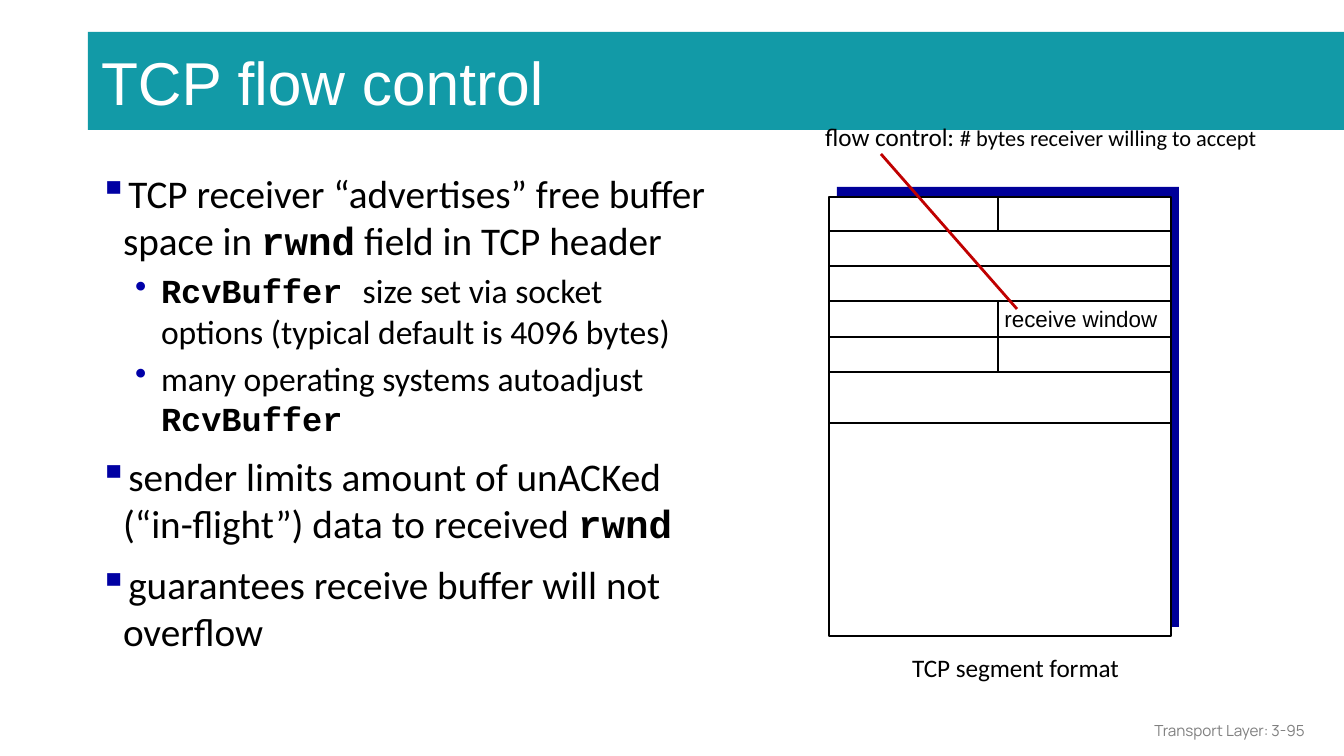
from pptx import Presentation
from pptx.dml.color import RGBColor
from pptx.enum.shapes import MSO_CONNECTOR, MSO_SHAPE
from pptx.enum.text import MSO_ANCHOR, MSO_AUTO_SIZE, PP_ALIGN
from pptx.oxml.ns import qn
from pptx.util import Emu, Pt
from lxml.etree import SubElement

EMU_PER_PX = 914400 / 134.4
COLORS = {
    "banner": "129AA7", "white": "FFFFFF", "black": "000000", "shadow": "000099",
    "square": "0000A3", "dot": "0000A8", "pointer": "C00000", "footer": "808080",
}
SANS, MONO = "Calibri", "Courier New"
LEVELS = [
    {"size": 21, "indent": 39, "hang": 24, "before": 7.5, "mark": "▪", "color": "square"},
    {"size": 18, "indent": 77, "hang": 26, "before": 3.8, "mark": "•", "color": "dot"},
]
POINTS = [
    (0, [("TCP receiver “advertises” free buffer space in ", SANS), ("rwnd", MONO),
         (" field in TCP header", SANS)]),
    (1, [("RcvBuffer ", MONO),
         ("size set via socket options (typical default is 4096 bytes)", SANS)]),
    (1, [("many operating systems autoadjust ", SANS), ("RcvBuffer", MONO)]),
    (0, [("sender limits amount of unACKed (“in-flight”) data to received ", SANS),
         ("rwnd", MONO)]),
    (0, [("guarantees receive buffer will not overflow", SANS)]),
]
SEGMENT = (829, 197, 342, 439)
ROW_LINES = [231, 266, 301, 337, 372, 423]
MIDDLE = 998


def px(value):
    return Emu(round(value * EMU_PER_PX))


def rgb(name):
    return RGBColor.from_string(COLORS[name])


class SlideBuilder:
    """Holds the current slide and draws styled elements on it."""

    def __init__(self, page):
        self.page = page

    def rectangle(self, place, fill, outline=None):
        box = self.page.shapes.add_shape(MSO_SHAPE.RECTANGLE, *map(px, place))
        box.shadow.inherit = False
        box.fill.solid()
        box.fill.fore_color.rgb = rgb(fill)
        if outline:
            box.line.color.rgb = rgb(outline)
            box.line.width = Pt(1.5)
        else:
            box.line.fill.background()
        return box

    def line(self, start, end, color="black"):
        connector = self.page.shapes.add_connector(
            MSO_CONNECTOR.STRAIGHT, *map(px, start + end))
        connector.line.color.rgb = rgb(color)
        connector.line.width = Pt(1.5)
        SubElement(connector._element.spPr, qn("a:effectLst"))

    def span(self, para, text, font, size, color="black"):
        span = para.add_run()
        span.text = text
        span.font.name = font
        span.font.size = Pt(size)
        span.font.bold = font == MONO
        span.font.color.rgb = rgb(color)

    def label(self, place, spans, align=PP_ALIGN.LEFT, spacing=1.0, wrap=True,
              anchor=MSO_ANCHOR.TOP):
        frame = self.page.shapes.add_textbox(*map(px, place)).text_frame
        frame.word_wrap = wrap
        frame.auto_size = MSO_AUTO_SIZE.NONE
        frame.vertical_anchor = anchor
        para = frame.paragraphs[0]
        para.alignment = align
        para.line_spacing = spacing
        for span in spans:
            self.span(para, *span)

    def title(self, place, text):
        box = self.rectangle(place, "banner")
        frame = box.text_frame
        frame.margin_left = frame.margin_right = px(13)
        frame.margin_top = frame.margin_bottom = px(13)
        frame.vertical_anchor = MSO_ANCHOR.MIDDLE
        frame.paragraphs[0].alignment = PP_ALIGN.LEFT
        self.span(frame.paragraphs[0], text, "Arial", 32.4, "white")

    def bullets(self, place, points):
        frame = self.page.shapes.add_textbox(*map(px, place)).text_frame
        frame.word_wrap = True
        frame.margin_left = frame.margin_right = px(10)
        frame.margin_top = frame.margin_bottom = px(5)
        for index, (depth, spans) in enumerate(points):
            level = LEVELS[depth]
            para = frame.add_paragraph() if index else frame.paragraphs[0]
            para.level = depth
            properties = para._p.get_or_add_pPr()
            properties.set("marL", str(px(level["indent"])))
            properties.set("indent", str(-px(level["hang"])))
            tint = SubElement(properties, qn("a:buClr"))
            SubElement(tint, qn("a:srgbClr"), val=COLORS[level["color"]])
            SubElement(properties, qn("a:buChar"), char=level["mark"])
            para.space_before = Pt(level["before"] if index else 0)
            for text, font in spans:
                self.span(para, text, font, level["size"])


def main():
    deck = Presentation()
    deck.slide_width, deck.slide_height = px(1344), px(756)
    builder = SlideBuilder(deck.slides.add_slide(deck.slide_layouts[6]))

    builder.title((88, 32, 1256, 98), "TCP flow control")
    builder.bullets((74, 164, 642, 540), POINTS)
    builder.label((812, 118, 480, 42), [
        ("flow control: ", SANS, 13.5), ("# bytes receiver willing to accept", SANS, 12),
    ], spacing=0.9)

    builder.rectangle((837, 187, 342, 440), "shadow")
    builder.rectangle(SEGMENT, "white", "black")
    left, top, width, _ = SEGMENT
    for row in ROW_LINES:
        builder.line((left, row), (left + width, row))
    for start, end in [(top, ROW_LINES[0]), (ROW_LINES[2], ROW_LINES[4])]:
        builder.line((MIDDLE, start), (MIDDLE, end))
    builder.label((990, 299, 182, 40), [("receive window", "Arial", 12)],
                  PP_ALIGN.CENTER, wrap=False)
    builder.line((1017, 309), (881, 154), "pointer")
    builder.label((899, 649, 254, 42), [("TCP segment format", SANS, 13.5)], spacing=0.9)
    builder.label((1016, 710, 302, 40),
                  [("Transport Layer: 3-95", "Manrope", 8.2, "footer")],
                  PP_ALIGN.RIGHT, anchor=MSO_ANCHOR.MIDDLE)
    deck.save("out.pptx")


if __name__ == "__main__":
    main()
